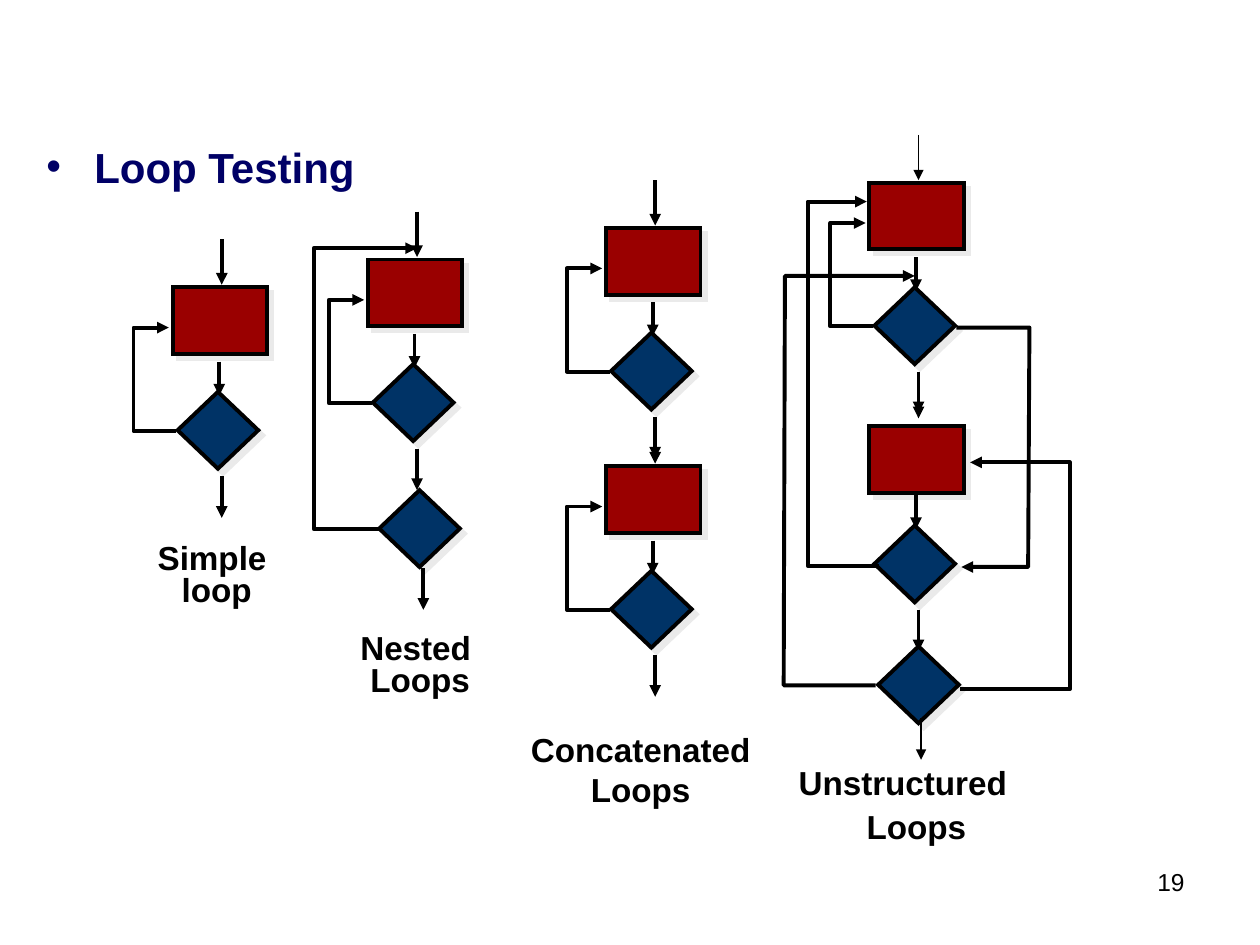
"""Build the loop testing slide with its four loop flowcharts."""
from lxml import etree
from pptx import Presentation, util as u
from pptx.dml.color import RGBColor
from pptx.enum import shapes, text
from pptx.oxml import ns

BLACK = RGBColor(0x00, 0x00, 0x00)
NAVY = RGBColor(0x00, 0x00, 0x66)
RED = RGBColor(0x9A, 0x00, 0x00)
BLUE = RGBColor(0x00, 0x33, 0x66)
SHADOW = RGBColor(0xEA, 0xEA, 0xEA)

BOX, DIAMOND = (0.75, 0.53), (0.64, 0.61)
THICK, THIN = 2.25, 1
CENTER, RIGHT, LEFT = text.PP_ALIGN.CENTER, text.PP_ALIGN.RIGHT, text.PP_ALIGN.LEFT

LABEL = {"size": u.Pt(19), "bold": True}
TITLE = {"size": u.Pt(24), "bold": True}
NUMBER = {"size": u.Pt(14), "bold": False}

TEXTS = [
    ((7.44, 6.83, 2.06, 0.52), ["19"], NUMBER, BLACK, True, {"alignment": RIGHT}),
    ((0.27, 1.07, 9, 0.95), ["Loop Testing"], TITLE, NAVY, True, {"space_before": u.Pt(6)}),
    ((2.76, 4.99, 1.15, 0.6), ["Nested ", "Loops"], LABEL, BLACK, False,
     {"alignment": CENTER, "line_spacing": 0.8}),
    ((4.08, 5.74, 2.01, 0.73), ["Concatenated", "Loops"], LABEL, BLACK, False,
     {"alignment": CENTER}),
    ((6.24, 6, 2.36, 0.41), ["Unstructured"], LABEL, BLACK, False, {"alignment": LEFT}),
    ((6.78, 6.35, 0.99, 0.41), ["Loops"], LABEL, BLACK, False, {"alignment": LEFT}),
    ((1.15, 4.28, 1.14, 0.6), ["Simple ", "loop"], LABEL, BLACK, False,
     {"alignment": CENTER, "line_spacing": 0.8}),
]

LOOPS = [
    {"x": 1.37, "y": 2.28},
    {"x": 2.92, "y": 2.06},
    {"x": 4.81, "y": 1.81},
    {"x": 4.81, "y": 3.7},
    {"x": 6.9, "y": 1.45, "entry": THIN},
    {"x": 6.9, "y": 3.34, "box_dy": 0.04, "back": False},
]

EXTRA_DIAMONDS = [(3.01, 3.89), (6.97, 5.13)]
EXTRA_ARROWS = [((3.36, 4.51), (3.36, 4.84), THICK), ((7.31, 5.7), (7.31, 6.03), THIN)]
EXTRA_PATHS = [
    [(3.01, 4.2), (2.49, 4.2), (2.49, 1.97), (3.31, 1.97)],
    [(6.98, 4.49), (6.41, 4.49), (6.41, 1.6), (6.88, 1.6)],
    [(7.59, 2.6), (8.17, 2.6), (8.16, 4.5), (7.63, 4.5)],
    [(7.62, 5.47), (8.49, 5.47), (8.49, 3.67), (7.7, 3.67)],
    [(6.95, 5.44), (6.22, 5.44), (6.23, 2.19), (7.26, 2.19)],
]


def sub(parent, tag, **attrs):
    return etree.SubElement(parent, ns.qn(tag), attrs)


def set_line(shape, width):
    shape.line.color.rgb = BLACK
    shape.line.width = u.Pt(width)
    return shape.element.spPr.find(ns.qn("a:ln"))


def add_text(s, at, lines, font, color, wrap, para):
    tf = s.shapes.add_textbox(*map(u.Inches, at)).text_frame
    tf.word_wrap = wrap
    if not wrap:
        tf.auto_size = text.MSO_AUTO_SIZE.SHAPE_TO_FIT_TEXT
    for i, line in enumerate(lines):
        p = tf.add_paragraph() if i else tf.paragraphs[0]
        for name, value in para.items():
            setattr(p, name, value)
        r = p.add_run()
        r.text = line
        for name, value in {"name": "Arial", **font}.items():
            setattr(r.font, name, value)
        r.font.color.rgb = color
    return tf


def add_bullet(p):
    props = p._p.get_or_add_pPr()
    props.set("marL", str(u.Inches(0.38)))
    props.set("indent", str(-u.Inches(0.38)))
    sub(sub(props, "a:buClr"), "a:srgbClr", val=str(NAVY))
    sub(props, "a:buFont", typeface="Arial")
    sub(props, "a:buChar", char="•")


def add_node(s, kind, x, y, size, color):
    sp = s.shapes.add_shape(kind, *map(u.Inches, (x, y, *size)))
    sp.fill.solid()
    sp.fill.fore_color.rgb = color
    sub(set_line(sp, THICK), "a:miter", lim="800000")
    sp.shadow.inherit = False
    effects = sp.element.spPr.find(ns.qn("a:effectLst"))
    shadow = sub(effects, "a:outerShdw", dist=str(u.Pt(4.2)), dir="2700000",
                 algn="ctr", rotWithShape="0")
    sub(shadow, "a:srgbClr", val=str(SHADOW))


def add_box(s, x, y):
    add_node(s, shapes.MSO_SHAPE.RECTANGLE, x, y, BOX, RED)


def add_diamond(s, x, y):
    add_node(s, shapes.MSO_SHAPE.DIAMOND, x, y, DIAMOND, BLUE)


def add_arrow(s, start, end, width=THICK):
    cn = s.shapes.add_connector(shapes.MSO_CONNECTOR.STRAIGHT, *map(u.Inches, (*start, *end)))
    sub(set_line(cn, width), "a:tailEnd", type="triangle")
    sub(cn.element.spPr, "a:effectLst")


def add_path(s, points):
    start, *rest = [tuple(map(u.Inches, pt)) for pt in points]
    fb = s.shapes.build_freeform(*start)
    fb.add_line_segments(rest, close=False)
    sp = fb.convert_to_shape()
    sp.fill.background()
    sub(set_line(sp, THICK), "a:tailEnd", type="triangle")
    sp.shadow.inherit = False


def add_loop(s, x, y, entry=THICK, box_dy=0, back=True):
    add_box(s, x, y + box_dy)
    add_diamond(s, x + 0.04, y + 0.83)
    for dx, top, bottom, width in [(0.39, -0.38, -0.02, entry), (0.37, 0.59, 0.86, THICK),
                                   (0.39, 1.5, 1.83, THICK)]:
        add_arrow(s, (x + dx, y + top), (x + dx, y + bottom), width)
    if back:
        turns = [(0.03, 1.14), (-0.31, 1.14), (-0.31, 0.32), (-0.03, 0.32)]
        add_path(s, [(x + dx, y + dy) for dx, dy in turns])


def main():
    prs = Presentation()
    prs.slide_width, prs.slide_height = u.Inches(10), u.Inches(7.5)
    s = prs.slides.add_slide(prs.slide_layouts[6])
    for item in TEXTS:
        tf = add_text(s, *item)
        if item[2] is TITLE:
            add_bullet(tf.paragraphs[0])
    for loop in LOOPS:
        add_loop(s, **loop)
    for spot in EXTRA_DIAMONDS:
        add_diamond(s, *spot)
    for arrow in EXTRA_ARROWS:
        add_arrow(s, *arrow)
    for points in EXTRA_PATHS:
        add_path(s, points)
    prs.save("out.pptx")


if __name__ == "__main__":
    main()
